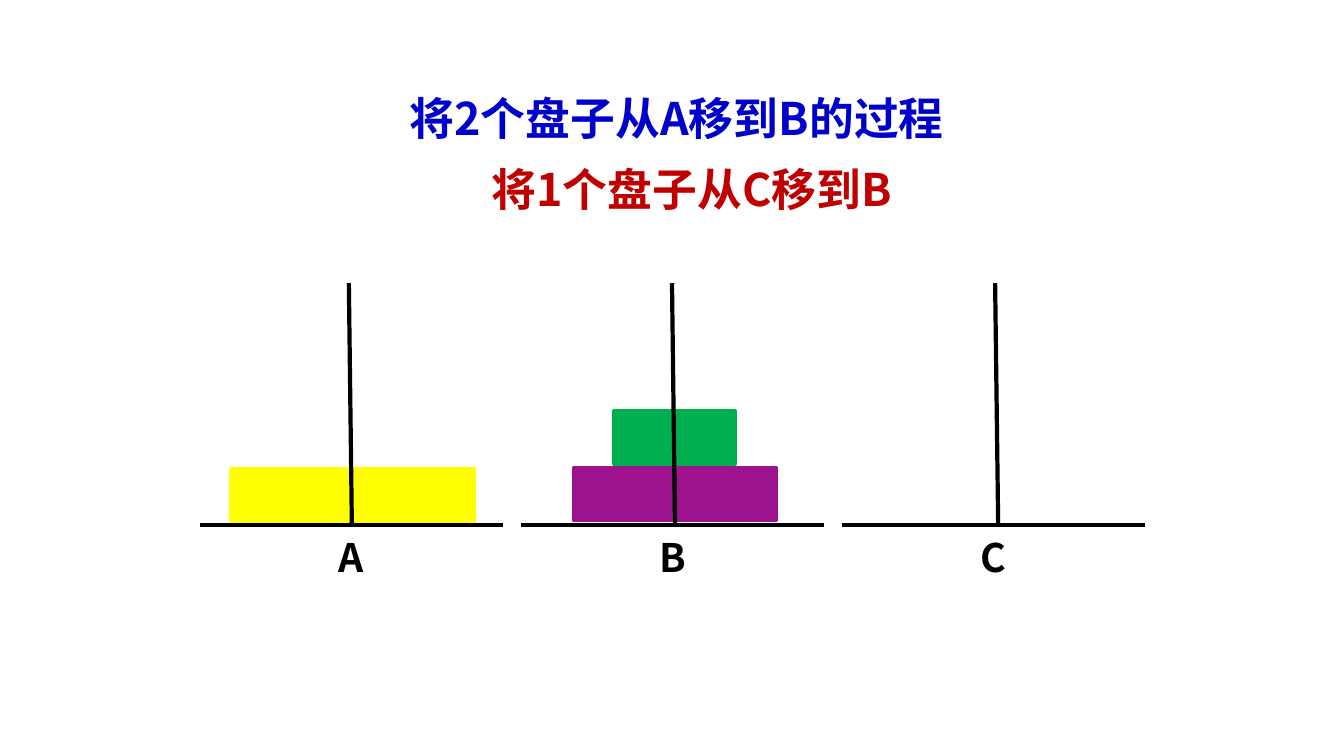
from lxml import etree
from pptx import Presentation
from pptx.dml.color import RGBColor
from pptx.enum.shapes import MSO_CONNECTOR, MSO_SHAPE
from pptx.enum.text import PP_ALIGN
from pptx.oxml.ns import qn
from pptx.util import Inches, Pt

STRAIGHT = MSO_CONNECTOR.STRAIGHT
PROCESS = MSO_SHAPE.FLOWCHART_PROCESS
CENTER = PP_ALIGN.CENTER
FONT = "Noto Sans CJK SC"
BASE_Y = 5.21

deck = Presentation()
deck.slide_width, deck.slide_height = Inches(13.33), Inches(7.5)
slide = deck.slides.add_slide(deck.slide_layouts[6])
shapes = slide.shapes


def add_text(text, left, top, width, height, size, color, inset=0.05):
    box = shapes.add_textbox(Inches(left), Inches(top), Inches(width), Inches(height))
    frame = box.text_frame
    frame.word_wrap = True
    frame.margin_top = Inches(inset)
    para = frame.paragraphs[0]
    para.alignment = CENTER
    para.line_spacing = Pt(24)
    props = para._p.get_or_add_pPr()
    props.set("marL", str(Inches(0.38)))
    props.set("indent", str(Inches(-0.38)))
    run = para.add_run()
    run.text = text
    run.font.size = Pt(size)
    run.font.bold = True
    run.font.name = FONT
    run.font.color.rgb = RGBColor.from_string(color)
    etree.SubElement(run._r.get_or_add_rPr(), qn("a:ea")).set("typeface", FONT)


def add_line(x1, y1, x2, y2):
    line = shapes.add_connector(STRAIGHT, Inches(x1), Inches(y1), Inches(x2), Inches(y2))
    line.line.width = Pt(3)
    line.line.color.rgb = RGBColor.from_string("000000")
    etree.SubElement(line._element.spPr, qn("a:effectLst"))


# Bases and peg names
for i, name in enumerate("ABC"):
    left = 1.98 + 3.185 * i
    add_line(left, BASE_Y, left + 3.01, BASE_Y)
    add_text(name, left + 1.12, 5.37, 0.77, 0.49, 28, "000000")

# Disks
for left, top, width, color in [
    (2.29, 4.65, 2.41, "FFFF00"),
    (5.69, 4.64, 2.01, "9D138D"),
    (6.09, 4.08, 1.2, "00B050"),
]:
    disk = shapes.add_shape(PROCESS, Inches(left), Inches(top), Inches(width), Inches(0.52))
    disk.shadow.inherit = False
    disk.fill.solid()
    disk.fill.fore_color.rgb = RGBColor.from_string(color)
    disk.line.color.rgb = RGBColor.from_string(color)
    disk.line.width = Pt(3)

# Pegs, in front of the disks
for i in range(3):
    foot = 3.49 + 3.205 * i
    add_line(foot, BASE_Y, foot - 0.03, 2.81)

# Titles
add_text("将2个盘子从A移到B的过程", 3.39, 0.86, 6.64, 0.7, 32, "0000CC", 0.24)
add_text("将1个盘子从C移到B", 4.4, 1.56, 4.92, 0.7, 32, "C00000", 0.24)

deck.save("out.pptx")
